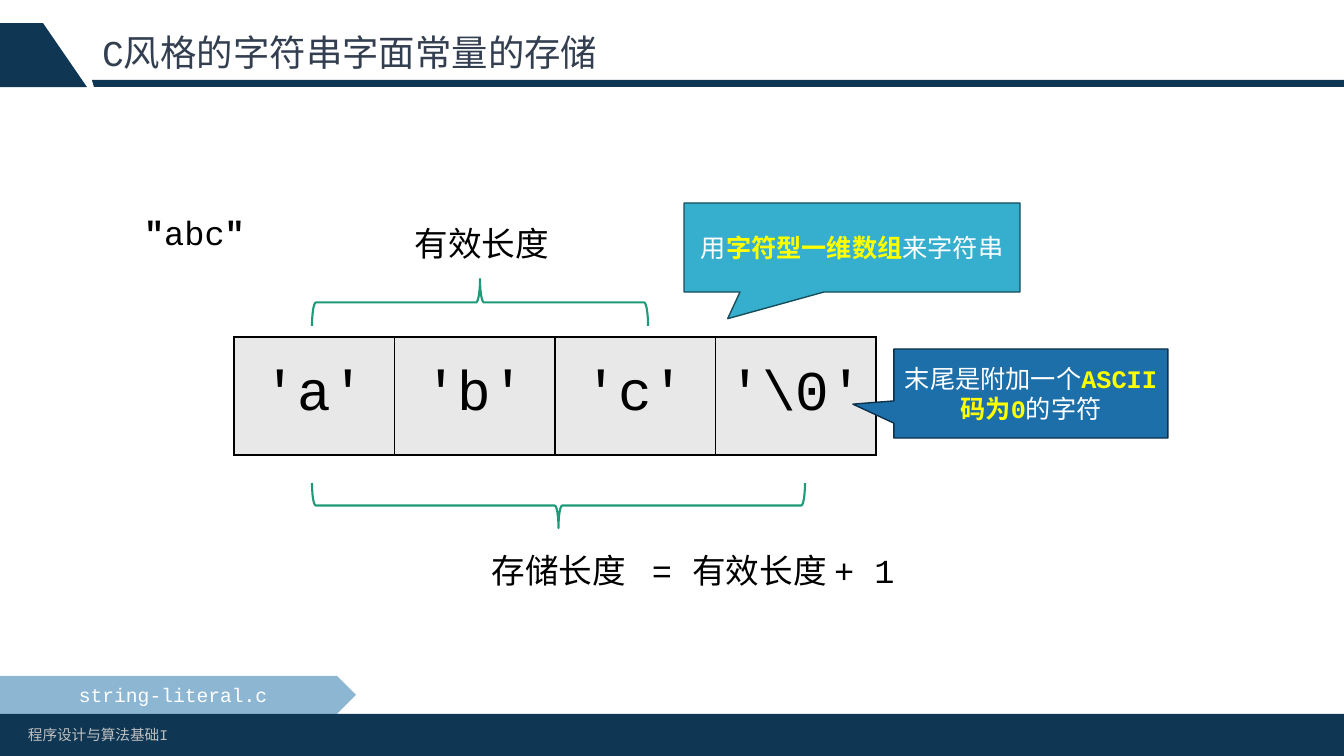
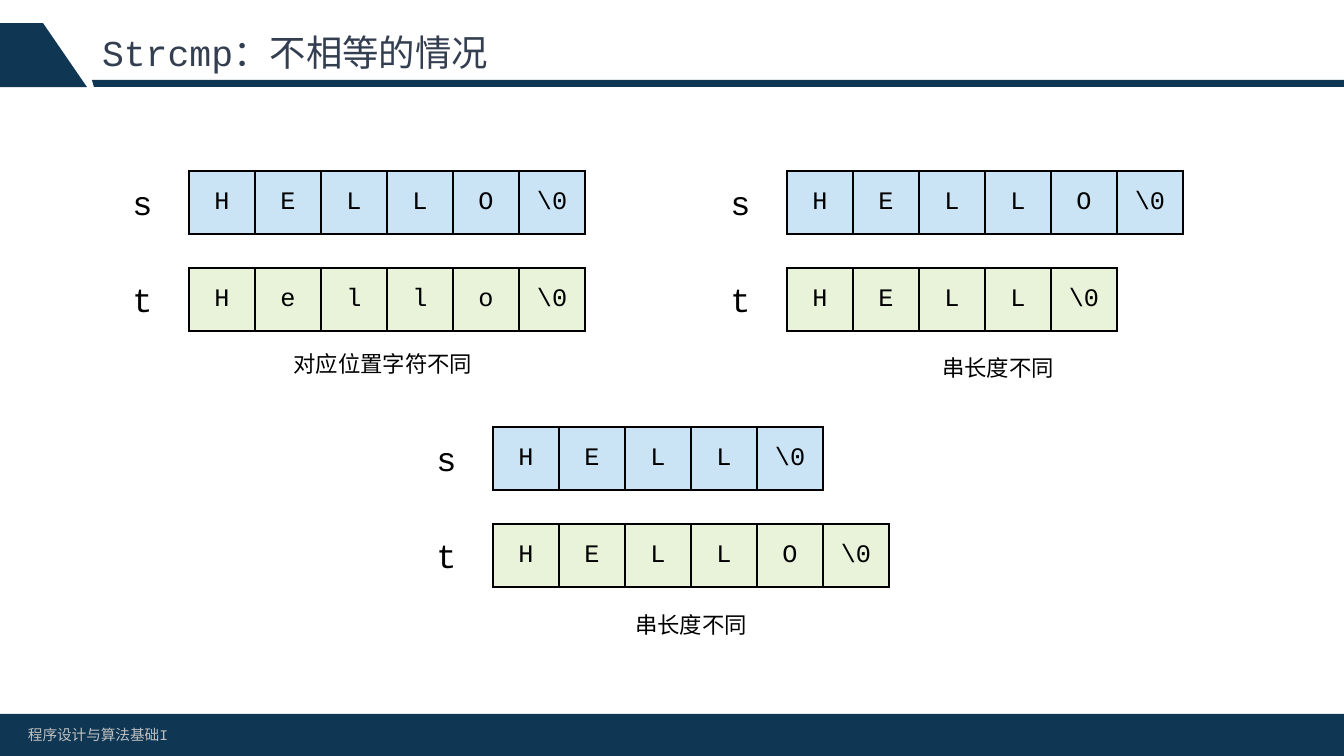
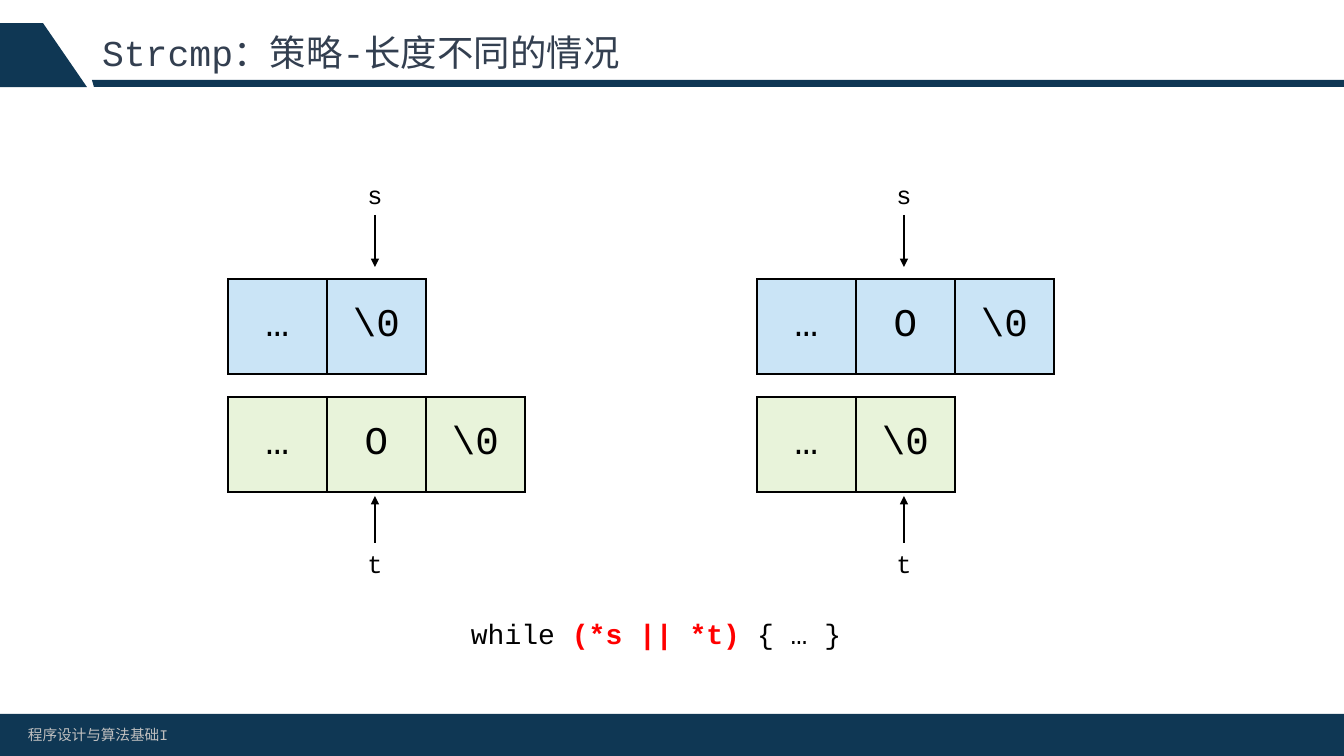
from pptx import Presentation
from pptx.dml.color import RGBColor
from pptx.enum.lang import MSO_LANGUAGE_ID
from pptx.enum.shapes import MSO_CONNECTOR, MSO_SHAPE
from pptx.enum.text import MSO_ANCHOR, PP_ALIGN
from pptx.oxml import parse_xml
from pptx.oxml.ns import nsdecls
from pptx.util import Pt

SCALE = 914400 / 100.8
FONT = "Courier New"
NAVY, SLATE, SILVER = "0F3754", "333F50", "BFBFBF"
BLUE, CYAN, GREEN = "1D6FA9", "36AFCE", "1D9A78"
SKY, LIME, GREY = "CAE4F6", "E8F3DA", "E9E8E8"
BLACK, WHITE, YELLOW, RED = "000000", "FFFFFF", "FFFF00", "FF0000"
LEFT, MID = PP_ALIGN.LEFT, PP_ALIGN.CENTER


def px(num):
    return round(num * SCALE)


def rgb(code):
    return RGBColor.from_string(code)


def tag(text):
    return parse_xml(text.replace("@", nsdecls("a"), 1))


def put(frame, runs, size, color=BLACK, align=MID, space=None):
    para = frame.paragraphs[0]
    if isinstance(runs, str):
        para.text = runs
        marks = [(color, False)]
    else:
        for text, *_ in runs:
            para.add_run().text = text
        marks = [mark[1:] for mark in runs]
    para.alignment = align
    para.line_spacing = space
    for run, (tint, bold) in zip(para.runs, marks):
        font = run.font
        font.name, font.size, font.bold = FONT, Pt(size), bold
        font.color.rgb = rgb(tint)
        font.language_id = MSO_LANGUAGE_ID.SIMPLIFIED_CHINESE


def label(slide, box, runs, size, color=BLACK, align=MID, space=None):
    shape = slide.shapes.add_textbox(*map(px, box))
    shape.text_frame.word_wrap = True
    put(shape.text_frame, runs, size, color, align, space)
    return shape


def paint(shape, fill=None, line=None, width=1):
    shape.shadow.inherit = False
    if fill:
        shape.fill.solid()
        shape.fill.fore_color.rgb = rgb(fill)
    else:
        shape.fill.background()
    if line:
        shape.line.color.rgb = rgb(line)
        shape.line.width = Pt(width)
    else:
        shape.line.fill.background()
    return shape


def block(slide, kind, box, fill=None, line=None, width=1):
    shape = slide.shapes.add_shape(kind, *map(px, box))
    return paint(shape, fill, line, width)


def outline(slide, spots, fill):
    spots = [(px(x), px(y)) for x, y in spots]
    draft = slide.shapes.build_freeform(*spots[0])
    draft.add_line_segments(spots[1:], close=True)
    return paint(draft.convert_to_shape(), fill)


def row(slide, box, cells, fill, size, pad=None):
    grid = slide.shapes.add_table(1, len(cells), *map(px, box)).table
    grid.first_row = grid.horz_banding = False
    for col, text in enumerate(cells):
        grid.columns[col].width = px(box[2] / len(cells))
        cell = grid.cell(0, col)
        prop = cell._tc.get_or_add_tcPr()
        for side in "LRTB":
            prop.append(tag(f'<a:ln{side} @ w="12700"><a:solidFill>'
                            f'<a:srgbClr val="{BLACK}"/></a:solidFill></a:ln{side}>'))
        cell.fill.solid()
        cell.fill.fore_color.rgb = rgb(fill)
        cell.vertical_anchor = MSO_ANCHOR.MIDDLE
        if pad:
            cell.margin_left = cell.margin_right = px(pad[0])
            cell.margin_top = cell.margin_bottom = px(pad[1])
        put(cell.text_frame, text, size)


def brace(slide, box, turn):
    x, y, w, h = box
    spot = (x + (w - h) / 2, y + (h - w) / 2, h, w)
    shape = block(slide, MSO_SHAPE.LEFT_BRACE, spot, None, GREEN, 1.5)
    shape.rotation = turn


def bubble(slide, box, tip, fill, line, runs):
    shape = block(slide, MSO_SHAPE.RECTANGULAR_CALLOUT, box, fill, line)
    shape.adjustments[0], shape.adjustments[1] = tip
    shape.text_frame.word_wrap = True
    shape.text_frame.vertical_anchor = MSO_ANCHOR.MIDDLE
    put(shape.text_frame, runs, 18)


def badge(slide, box, text):
    shape = block(slide, MSO_SHAPE.PENTAGON, box, BLUE)
    shape.fill._xPr.find(".//{*}srgbClr").append(tag('<a:alpha @ val="50000"/>'))
    shape.text_frame.vertical_anchor = MSO_ANCHOR.MIDDLE
    put(shape.text_frame, text, 14, WHITE)


def arrow(slide, start, end, host, site):
    line = slide.shapes.add_connector(MSO_CONNECTOR.STRAIGHT, *map(px, start + end))
    line.begin_connect(host, site)
    line.line.color.rgb = rgb(BLACK)
    line.line.width = Pt(1.5)
    line.line._get_or_add_ln().append(tag('<a:tailEnd @ type="triangle"/>'))
    line._element.spPr.append(tag("<a:effectLst @/>"))


def theme(layout, slide):
    for item in list(layout.placeholders)[1:]:
        item.element.getparent().remove(item.element)
    title = layout.placeholders[0]
    title.left, title.top, title.width, title.height = map(px, (92, 23, 1159, 64))
    title.text_frame.vertical_anchor = MSO_ANCHOR.MIDDLE
    parts = [
        outline(slide, [(92, 80), (1344, 80), (1344, 87), (94, 87)], NAVY),
        outline(slide, [(43, 23), (87, 87), (0, 87), (0, 23)], NAVY),
        block(slide, MSO_SHAPE.RECTANGLE, (0, 714, 1344, 42), NAVY),
        label(slide, (18, 721, 435, 29), "程序设计与算法基础I", 10.5, SILVER, LEFT),
    ]
    for part in parts:
        layout.shapes.element.append(part.element)


def head(slide, text):
    put(slide.shapes.title.text_frame, text, 26, SLATE, LEFT, 0.9)


def store(slide):
    head(slide, "C风格的字符串字面常量的存储")
    row(slide, (234, 337, 642, 118), ["'a'", "'b'", "'c'", "'\\0'"], GREY, 40)
    bubble(slide, (894, 349, 274, 89), (-0.65, 0.12), BLUE, "0D314A",
           [("末尾是附加一个", WHITE, False), ("ASCII码为0", YELLOW, True),
            ("的字符", WHITE, False)])
    brace(slide, (312, 279, 336, 47), 90)
    brace(slide, (312, 483, 493, 45), 270)
    label(slide, (392, 218, 180, 50), "有效长度", 24)
    label(slide, (469, 545, 180, 50), "存储长度", 24)
    label(slide, (642, 545, 421, 50), "= 有效长度 + 1", 24, align=LEFT)
    label(slide, (122, 207, 145, 50),
          [('"', BLACK, True), ("abc", BLACK, False), ('"', BLACK, True)], 24)
    bubble(slide, (684, 203, 336, 89), (-0.37, 0.8), CYAN, "184D5A",
           [("用", WHITE, False), ("字符型一维数组", YELLOW, True),
            ("来字符串", WHITE, False)])
    badge(slide, (0, 676, 356, 38), "string-literal.c")


def pair(slide, x, y, words, note, shift):
    for name, word, fill, drop in zip("st", words, (SKY, LIME), (0, 97)):
        cells = [*word, "\\0"]
        row(slide, (x, y + drop, 66 * len(cells), 63), cells, fill, 18, (7, 3))
        label(slide, (x - 75, y + drop + 6, 57, 50), name, 24)
    label(slide, (x + shift[0], y + shift[1], 220, 37), note, 16)


def differ(slide):
    head(slide, "Strcmp：不相等的情况")
    pair(slide, 189, 171, ("HELLO", "Hello"), "对应位置字符不同", (84, 174))
    pair(slide, 787, 171, ("HELLO", "HELL"), "串长度不同", (101, 178))
    pair(slide, 493, 427, ("HELL", "HELLO"), "串长度不同", (88, 179))


def scan(slide, x, y, words):
    for word, fill, drop in zip(words, (SKY, LIME), (0, 118)):
        cells = ["…", *word, "\\0"]
        row(slide, (x, y + drop, 99 * len(cells), 95), cells, fill, 28)
    mid = x + 147
    for name, top, start, end, site in (("s", -105, -64, -12, 2),
                                        ("t", 264, 264, 217, 0)):
        host = label(slide, (mid - 29, y + top, 58, 41), name, 18)
        arrow(slide, (mid, y + start), (mid, y + end), host, site)


def plan(slide):
    head(slide, "Strcmp：策略-长度不同的情况")
    scan(slide, 228, 279, ("", "O"))
    scan(slide, 757, 279, ("O", ""))
    label(slide, (461, 595, 473, 55),
          [("while ", BLACK, False), ("(*s || *t) ", RED, True),
           ("{ … }", BLACK, False)], 20, align=LEFT, space=1.5)


def main():
    deck = Presentation()
    deck.slide_width, deck.slide_height = px(1344), px(756)
    layout = deck.slide_layouts[5]
    slides = [deck.slides.add_slide(layout) for _ in range(3)]
    theme(layout, slides[0])
    for slide, build in zip(slides, (store, differ, plan)):
        build(slide)
    deck.save("out.pptx")


if __name__ == "__main__":
    main()
